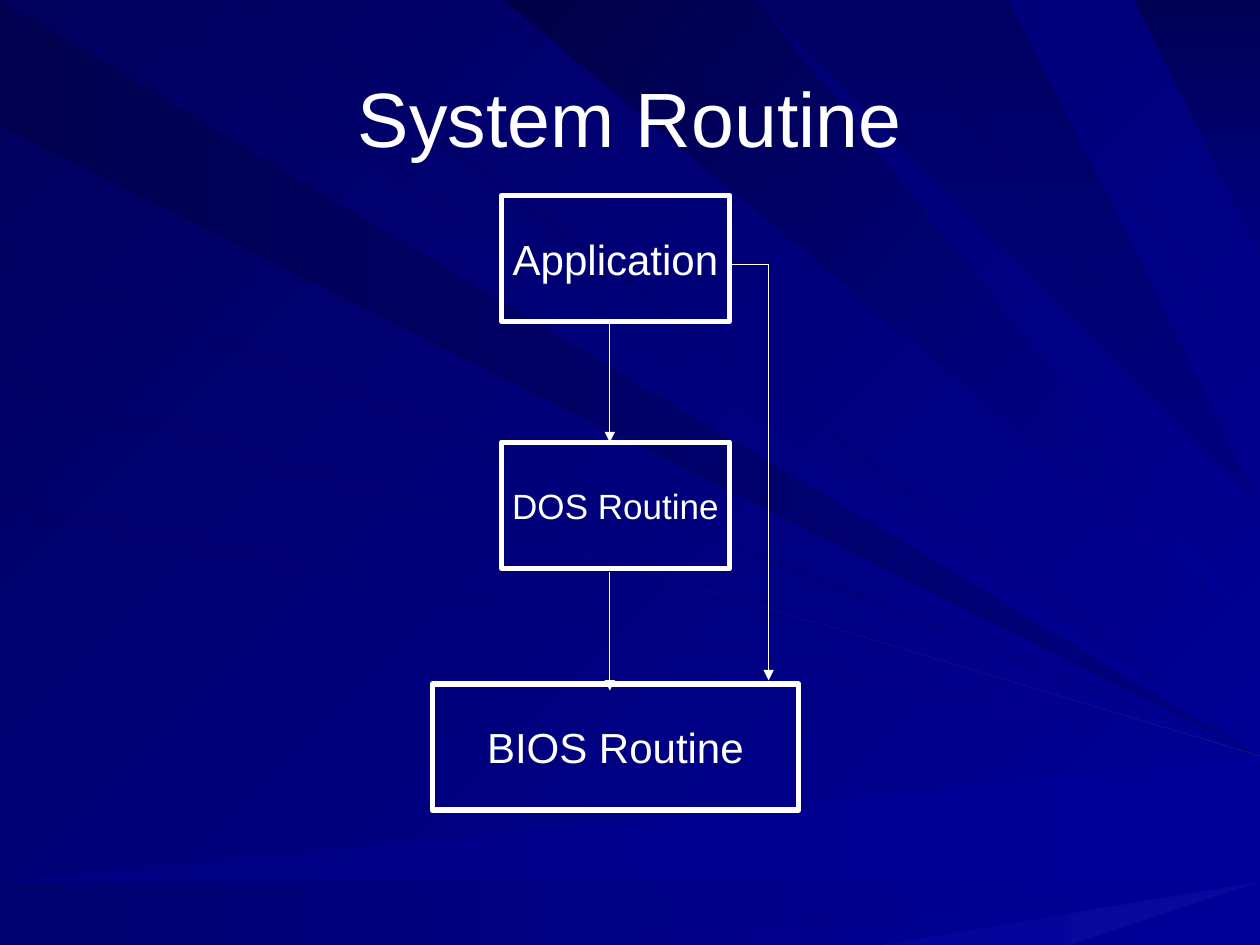
import pptx
import pptx.util
import pptx.dml.color
import pptx.enum.shapes
import pptx.enum.text
import pptx.oxml
import pptx.oxml.ns

Inches = pptx.util.Inches
Pt = pptx.util.Pt

COLORS = {
    "white": "FFFFFF",
    # Dark ends of the rays, from darkest up
    "ink": "000047", "pitch": "00004F", "night": "000055", "dusk": "00005D",
    "deep": "000063", "navy": "00006F", "sea": "000080",
    # Light ends of the rays
    "blue": "000099", "glow": "08089C", "shine": "1717A2",
}

# Edge that a ray starts from, and the clockwise angle of its shading
KINDS = {"flat": ("left", 0), "slant": ("left", 45), "top": ("top", 45),
         "fall": ("top", 90), "rise": ("base", 0)}

# Rays: kind, colours, start and end along the edge, tip heights at the right
RAYS = [
    ("flat", "pitch", "sea", 0.02, 0.93, 5.7),
    ("top", "dusk", "blue", 0.26, 1.01, 5.63),
    ("flat", "deep", "blue", 5.96, 6.23, 6.32),
    ("flat", "sea", "blue", 6.65, 7.04, 6.43, 6.51),
    ("flat", "navy", "blue", 7.35, 7.5, 6.62),
    ("rise", "blue", "glow", 3.64, 7.42, 6.72, 6.94),
    ("slant", "pitch", "blue", 2.58, 2.7, 5.89),
    ("flat", "night", "sea", 1.59, 2.28, 5.85),
    ("top", "navy", "blue", 3.98, 4.16, 5.15, 5.21),
    ("top", "ink", "blue", 4.26, 4.92, 4.79, 5.07),
    ("top", "pitch", "blue", 5.4, 5.52, 4.63),
    ("fall", "deep", "sea", 6.06, 6.61, 4.46),
    ("fall", "night", "sea", 8.87, 9.3, 1.83, 2.37),
    ("fall", "night", "sea", 9.39, 9.64, 1.14, 1.67),
    ("slant", "deep", "blue", 2.78, 3.42, 5.96, 6.02),
    ("slant", "dusk", "blue", 3.74, 4.37, 6.06),
    ("flat", "sea", "blue", 5.52, 5.6, 6.22),
    ("top", "ink", "blue", 2.25, 2.47, 5.5),
    ("top", "sea", "blue", 5.77, 5.88, 4.54),
    ("fall", "deep", "sea", 6.86, 7.7, 3.9, 4.28),
    ("top", "dusk", "blue", 7.85, 7.92, 3.57),
    ("top", "navy", "blue", 8.15, 8.24, 3.36),
    ("top", "sea", "blue", 8.65, 8.72, 2.53),
    ("flat", "navy", "shine", 2.83, 3.47, 6.01, 6.06),
]


def tint(name):
    return pptx.dml.color.RGBColor.from_string(COLORS[name])


def paint(fill, first, last, angle):
    """Fill with a gradient at a clockwise angle."""
    fill.gradient()
    fill.gradient_angle = -angle % 360
    for stop, name in zip(fill.gradient_stops, (first, last)):
        stop.color.rgb = tint(name)


def write(shape, text, size):
    """Put one centred white line in a shape."""
    frame = shape.text_frame
    frame.text = text
    frame.vertical_anchor = pptx.enum.text.MSO_ANCHOR.MIDDLE
    line = frame.paragraphs[0]
    line.alignment = pptx.enum.text.PP_ALIGN.CENTER
    font = line.runs[0].font
    font.name, font.size = "Arial", Pt(size)
    font.color.rgb = tint("white")
    return frame


def add_rays(slide, left, top, width, height):
    paint(slide.background.fill, "dusk", "blue", 45)
    for kind, first, last, start, end, *tips in RAYS:
        edge, angle = KINDS[kind]
        base = height if edge == "base" else 0
        ends = [(0, n) if edge == "left" else (n, base) for n in (start, end)]
        # From the left the lower corner comes last, so its tip comes first
        order = sorted(tips, reverse=edge != "top" and edge != "base")
        if edge == "top":
            order.reverse()
            ends.reverse()
        if edge == "base":
            order.reverse()
        points = ends + [(width, n) for n in order]
        pen = slide.shapes.build_freeform(*points[0], scale=Inches(1))
        pen.add_line_segments(points[1:], close=True)
        ray = pen.convert_to_shape(Inches(left), Inches(top))
        ray.shadow.inherit = False
        ray.line.fill.background()
        paint(ray.fill, first, last, angle)


def add_title(slide, left, top, width, height):
    box = slide.shapes.add_textbox(
        Inches(left), Inches(top), Inches(width), Inches(height))
    write(box, "System Routine", 44).word_wrap = True


def add_box(slide, mid, top, width, text, size):
    box = slide.shapes.add_shape(
        pptx.enum.shapes.MSO_SHAPE.RECTANGLE,
        Inches(mid - width / 2), Inches(top), Inches(width), Inches(1))
    box.shadow.inherit = False
    box.fill.background()
    box.line.color.rgb = tint("white")
    box.line.width = Pt(3)
    write(box, text, size).word_wrap = False


def add_line(slide, start, end, arrow=True):
    line = slide.shapes.add_connector(
        pptx.enum.shapes.MSO_CONNECTOR.STRAIGHT,
        *[Inches(n) for n in start + end])
    line.line.color.rgb = tint("white")
    line.line.width = Pt(0.75)
    make, name = pptx.oxml.xmlchemy.OxmlElement, pptx.oxml.ns.qn
    shape = line._element.find(name("p:spPr"))
    if arrow:
        tail = make("a:tailEnd")
        tail.set("type", "triangle")
        shape.find(name("a:ln")).append(tail)
    shape.append(make("a:effectLst"))


def add_chain(slide, left, top, width):
    mid = left + width / 2
    # Boxes
    add_box(slide, mid, top + 1.96, 1.81, "DOS Routine", 20)
    add_box(slide, mid, top, 1.81, "Application", 24)
    add_box(slide, mid, top + 3.88, width, "BIOS Routine", 24)
    # Arrows from each box to the next
    stem = left + 1.41
    for drop in (1.02, 2.99):
        add_line(slide, (stem, top + drop), (stem, top + drop + 0.94))
    # Bypass from the first box to the last
    side, turn = left + 2.67, top + 0.55
    add_line(slide, (left + 2.36, turn), (side, turn), arrow=False)
    add_line(slide, (side, turn), (side, top + 3.85))


def main():
    deck = pptx.Presentation()
    deck.slide_width, deck.slide_height = Inches(10), Inches(7.5)
    slide = deck.slides.add_slide(deck.slide_layouts[6])
    add_rays(slide, 0, 0, 10, 7.5)
    add_title(slide, 0.5, 0.3, 9, 1.25)
    add_chain(slide, 3.43, 1.55, 2.91)
    deck.save("out.pptx")


if __name__ == "__main__":
    main()
